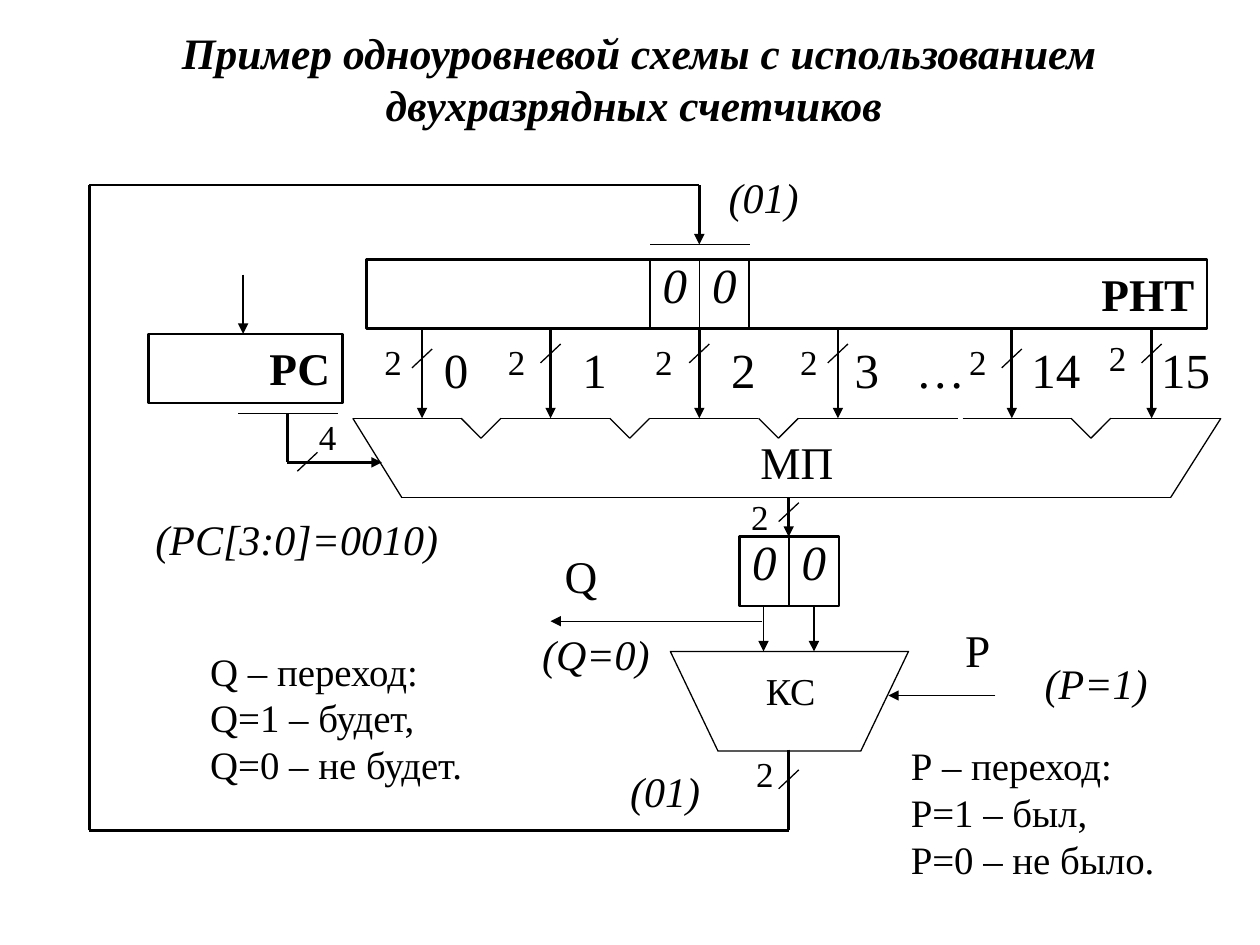
from dataclasses import dataclass
from itertools import pairwise

from lxml import etree
from pptx import Presentation
from pptx.dml.color import RGBColor
from pptx.enum.shapes import MSO_CONNECTOR, MSO_SHAPE
from pptx.enum.text import MSO_ANCHOR, MSO_AUTO_SIZE, PP_ALIGN
from pptx.oxml.ns import qn
from pptx.util import Inches, Pt

RECT = MSO_SHAPE.RECTANGLE
TRAPEZOID = MSO_SHAPE.FLOWCHART_MANUAL_OPERATION
STRAIGHT = MSO_CONNECTOR.STRAIGHT
LEFT, CENTER, RIGHT = PP_ALIGN.LEFT, PP_ALIGN.CENTER, PP_ALIGN.RIGHT
TOP, MIDDLE = MSO_ANCHOR.TOP, MSO_ANCHOR.MIDDLE
FONT = "Times New Roman"
BLACK = "000000"
THICK, THIN = 1.5, 0.75

prs = Presentation()
prs.slide_width, prs.slide_height = Inches(10), Inches(7.5)
s = prs.slides.add_slide(prs.slide_layouts[5])
COL, ROW = prs.slide_width / 100, prs.slide_height / 75


@dataclass
class Box:
    """Rectangle in grid columns and rows."""
    x: float
    y: float
    w: float
    h: float

    def emu(self) -> tuple[int, ...]:
        return (round(self.x * COL), round(self.y * ROW),
                round(self.w * COL), round(self.h * ROW))


@dataclass
class Channel:
    """One input of the multiplexer."""
    number: str
    x: float
    number_x: float
    width_x: float
    tick_y: float = 27.3
    width_y: float = 26.5


def color(hex_text: str) -> RGBColor:
    return RGBColor.from_string(hex_text)


def write(sp, text: str, *, size: float, bold=False, italic=False,
          align=CENTER, anchor=TOP, spacing=1.0) -> None:
    tf = sp.text_frame
    tf.word_wrap = True
    tf.auto_size = MSO_AUTO_SIZE.NONE
    tf.vertical_anchor = anchor
    tf.text = text
    for p in tf.paragraphs:
        p.alignment = align
        p.line_spacing = spacing
        for r in p.runs:
            f = r.font
            f.name, f.size, f.bold, f.italic = FONT, Pt(size), bold, italic
            f.color.rgb = color(BLACK)


def label(text: str, box: Box, **fmt) -> None:
    write(s.shapes.add_textbox(*box.emu()), text, **fmt)


def block(box: Box, weight: float, text: str = "", kind=RECT, **fmt) -> None:
    sp = s.shapes.add_shape(kind, *box.emu())
    sp.shadow.inherit = False
    sp.fill.background()
    sp.line.color.rgb = color(BLACK)
    sp.line.width = Pt(weight)
    if text:
        write(sp, text, **fmt)


def wire(points: list[tuple[float, float]], weight: float, arrow=False) -> None:
    """Chain of straight lines, with an optional arrowhead at its end."""
    for (x1, y1), (x2, y2) in pairwise(points):
        c = s.shapes.add_connector(STRAIGHT, round(x1 * COL), round(y1 * ROW),
                                   round(x2 * COL), round(y2 * ROW))
        c.line.color.rgb = color(BLACK)
        c.line.width = Pt(weight)
        sp_pr = c._element.spPr
        if arrow and (x2, y2) == points[-1]:
            ln = sp_pr.find(qn("a:ln"))
            etree.SubElement(ln, qn("a:tailEnd"), type="triangle")
        etree.SubElement(sp_pr, qn("a:effectLst"))


def tick(x: float, y: float) -> None:
    """Slash that marks a wire as a bus."""
    wire([(x + 0.8, y), (x - 0.8, y + 1.5)], THIN)


def bus_width(text: str, x: float, y: float) -> None:
    label(text, Box(x, y, 7.2, 5.4), size=20)


def bit_pair(x: float, y: float) -> None:
    for i in range(2):
        block(Box(x + 3.93 * i, y, 3.93, 5.5), THIN, "0",
              size=28, italic=True, spacing=0.8)


CHANNELS = [
    Channel("0", 33.5, 31.5, 27.6, tick_y=27.7),
    Channel("1", 43.7, 42.5, 37.4),
    Channel("2", 55.5, 54.3, 49.1),
    Channel("3", 66.5, 64.1, 60.6),
    Channel("14", 80.3, 79.1, 74, tick_y=27.7),
    Channel("15", 91.4, 89.4, 85.1, width_y=26.2),
]
MUX_TOP, MUX_BOTTOM, NOTCH = 33.2, 39.5, 1.58


def notch(x: float) -> list[tuple[float, float]]:
    return [(x, MUX_TOP), (x + NOTCH, MUX_TOP + NOTCH), (x + 2 * NOTCH, MUX_TOP)]


# Title
title = s.shapes.title
title.left, title.top, title.width, title.height = Box(3.5, 1.3, 94.5, 9.8).emu()
write(title, "Пример одноуровневой схемы с использованием двухразрядных счетчиков ",
      size=24.8, bold=True, italic=True, anchor=MIDDLE)

# Registers
block(Box(11.8, 26.5, 15.4, 5.5), THICK, "РС", size=25.9, bold=True, align=RIGHT)
block(Box(29.1, 20.6, 66.7, 5.5), THICK, "РНТ", size=25.9, bold=True, align=RIGHT)
block(Box(58.7, 42.6, 7.9, 5.5), THICK)
bit_pair(51.6, 20.6)
bit_pair(58.7, 42.6)

# Multiplexer
wire([(31.9, MUX_BOTTOM), (28, MUX_TOP)]
     + [pt for i in range(3) for pt in notch(36.6 + 11.8 * i)]
     + [(76, MUX_TOP)], THIN)
wire([(76.4, MUX_TOP), *notch(85), (96.9, MUX_TOP),
      (92.9, MUX_BOTTOM), (31.9, MUX_BOTTOM)], THIN)
label("МП", Box(34.3, 34, 57.9, 5.4), size=25.9)

for ch in CHANNELS:
    wire([(ch.x, 26.1), (ch.x, MUX_TOP)], THICK, arrow=True)
    tick(ch.x, ch.tick_y)
    label(ch.number, Box(ch.number_x, 27.7, 9.4, 4.7), size=28, spacing=0.7)
    bus_width("2", ch.width_x, ch.width_y)
label("…", Box(71.7, 27.7, 7, 4.7), size=28, spacing=0.7, align=LEFT)

# Address input
wire([(19.3, 21.8), (19.3, 26.5)], THICK, arrow=True)
wire([(26.8, 32.8), (18.9, 32.8)], THIN)
wire([(22.8, 32.8), (22.8, 36.7), (30.3, 36.7)], THICK, arrow=True)
tick(24.4, 35.9)
bus_width("4", 22.4, 32.5)

# Selected counter and combinational circuit
wire([(62.6, MUX_BOTTOM), (62.6, 42.6)], THICK, arrow=True)
tick(62.6, 39.9)
bus_width("2", 56.7, 38.8)
block(Box(53.2, 51.7, 18.9, 7.9), THIN, kind=TRAPEZOID)
label("КС", Box(57.4, 52.5, 10.7, 5), size=21.7)
for x in (60.6, 64.6):
    wire([(x, 48.1), (x, 51.7)], THIN, arrow=True)
wire([(60.5, 49.3), (43.7, 49.3)], THIN, arrow=True)
wire([(79, 55.2), (70.5, 55.2)], THIN, arrow=True)

# Feedback to the counter
wire([(62.6, 59.5), (62.6, 65.9), (7.1, 65.9), (7.1, 14.7),
      (55.5, 14.7), (55.5, 19.4)], THICK, arrow=True)
wire([(59.5, 19.4), (51.6, 19.4)], THIN)
tick(62.6, 61.1)
bus_width("2", 57.1, 59.2)

# Signals, their values and the legends
for text, x, y in [("Р", 74, 48.9), ("Q", 42.5, 43)]:
    label(text, Box(x, y, 7.2, 5.4), size=25.9)
for text, x, y, w in [("(РС[3:0]=0010)", 9, 40.3, 29.1), ("(Q=0)", 40.6, 49.4, 13.4),
                      ("(P=1)", 80.3, 51.7, 13.4), ("(01)", 46.1, 60.3, 13.4),
                      ("(01)", 53.9, 13.1, 13.4)]:
    label(text, Box(x, y, w, 5.4), size=24, italic=True)
for text, x, y, w in [
        ("Р – переход:\nР=1 – был,\nР=0 – не было.", 71.3, 58.4, 23.2),
        ("Q – переход:\nQ=1 – будет,\nQ=0 – не будет.", 15.7, 50.9, 27.1)]:
    label(text, Box(x, y, w, 12.6), size=22.2, align=LEFT)

prs.save("out.pptx")
